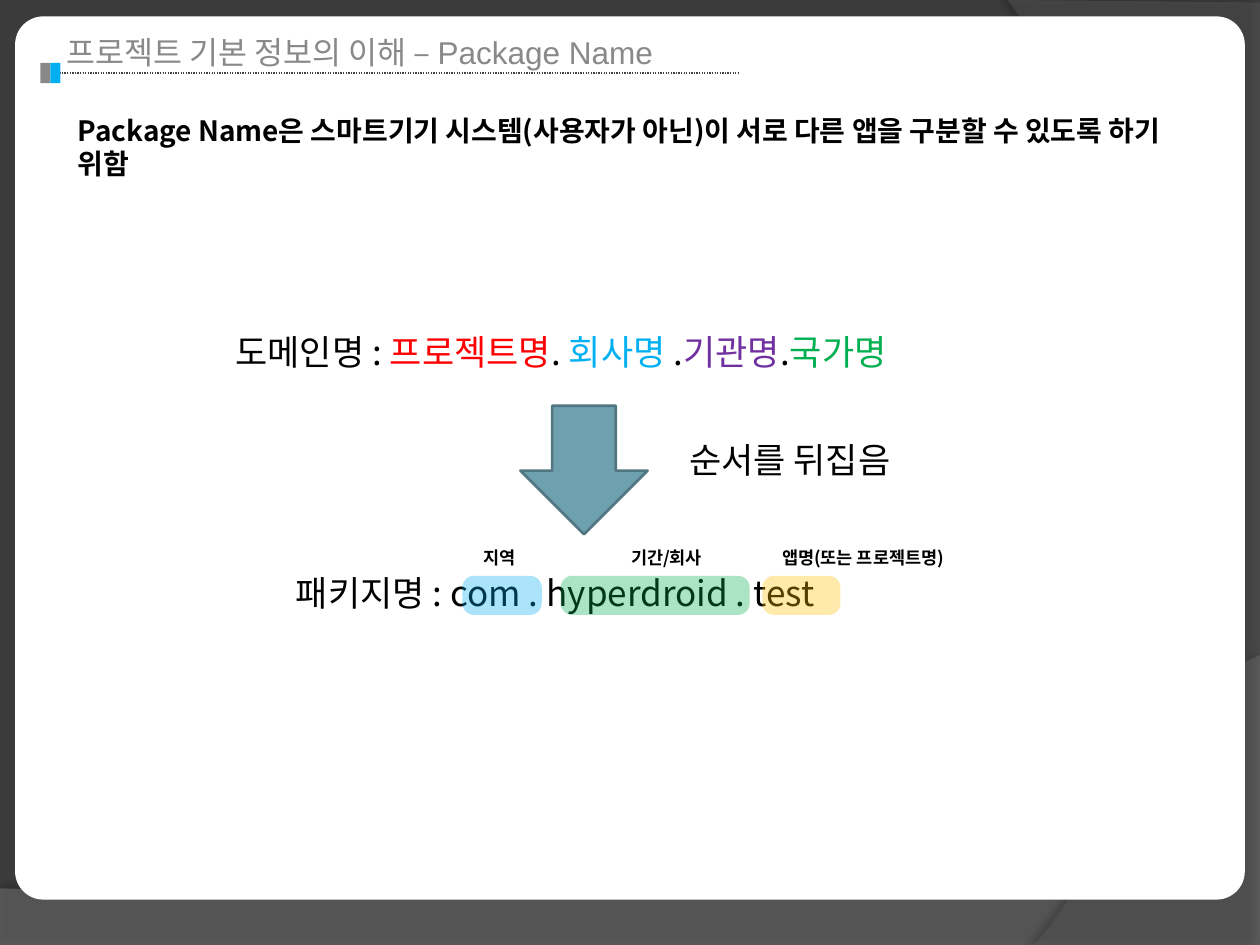
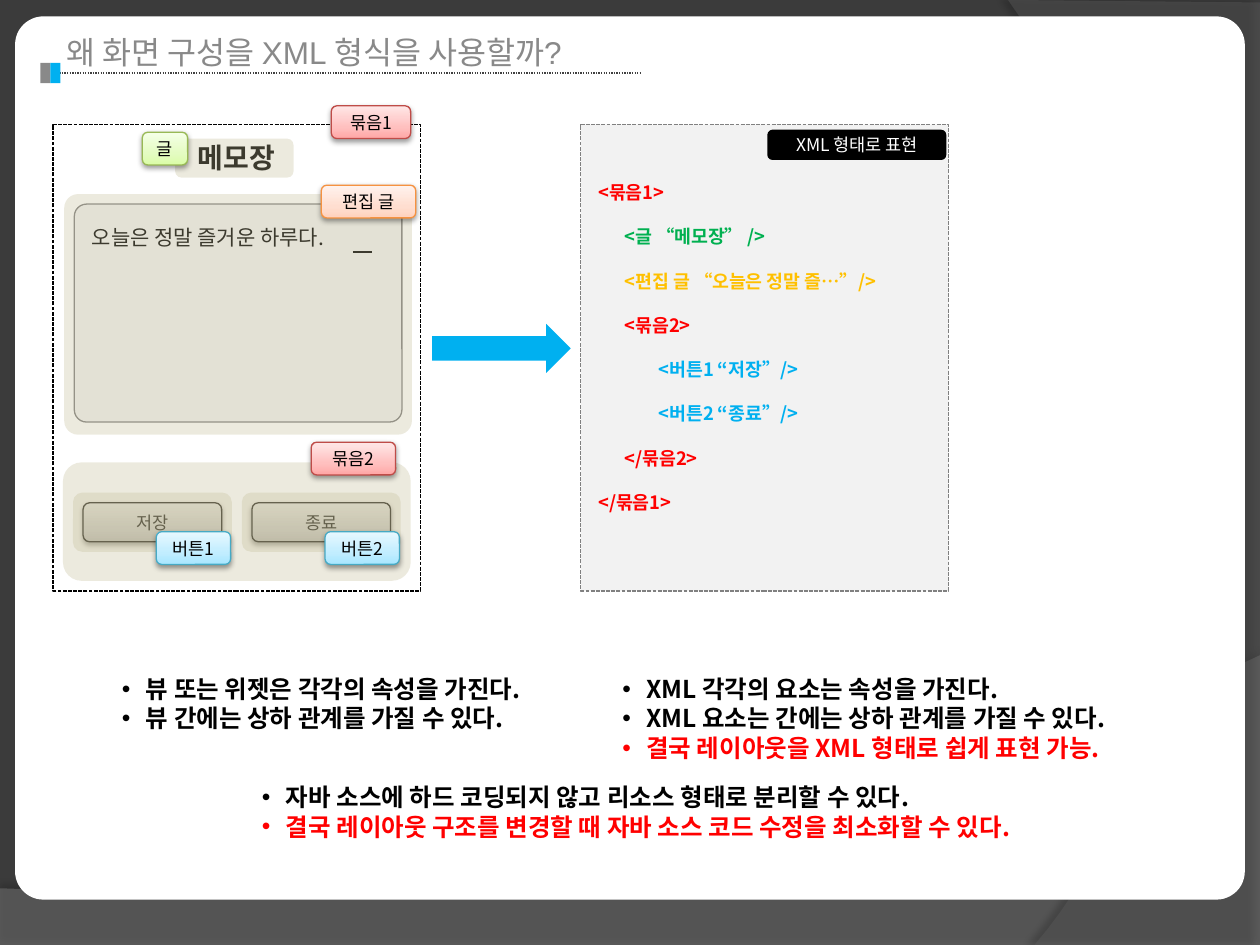
from lxml.etree import SubElement
from pptx import Presentation
from pptx.dml.color import RGBColor
from pptx.enum.dml import MSO_LINE
from pptx.enum.shapes import MSO_CONNECTOR, MSO_SHAPE
from pptx.enum.text import MSO_ANCHOR, MSO_AUTO_SIZE, PP_ALIGN
from pptx.oxml.ns import qn
from pptx.util import Inches, Pt

FONT, TITLE_FONT = "Noto Sans CJK KR", "Arial"
COLORS = {
    "backdrop": "3B3B3B", "hill": "7F7F7F", "wave": "5E5E5E",
    "white": "FFFFFF", "black": "000000", "title": "898989", "rule": "404040",
    "red": "FF0000", "blue": "00B0F0", "purple": "7030A0", "green": "00B050",
    "amber": "FFC000", "pale": "F2F2F2", "gray": "808080", "veil": "C4BD97",
    "arrow": "6EA0B0", "arrow_edge": "517682",
}
# Gradient from bottom to top (0, 35, 100 %), then the outline
TAG_STYLES = {
    "button": ("BDBDBD", "D1D1D1", "EEEEEE", "000000"),
    "text": ("DAFDA7", "E4FCC2", "F5FFE7", "98B955"),
    "edit": ("FFD2BD", "FFDED0", "FFF2ED", "F69240"),
    "bundle": ("FFA6A5", "FFC0BF", "FFE7E7", "BF4C48"),
    "widget": ("A7E6FF", "C1EDFF", "E7F8FF", "46AAC5"),
}

# Slide 1 content
PACKAGE_TITLE = "프로젝트 기본 정보의 이해 – Package Name"
PACKAGE_PURPOSE = ("Package Name은 스마트기기 시스템(사용자가 아닌)이 서로 다른 앱을 "
                   "구분할 수 있도록 하기 위함")
DOMAIN_PARTS = [("도메인명 : ", "black"), ("프로젝트명", "red"), (". ", "black"),
                ("회사명", "blue"), (" .", "black"), ("기관명", "purple"),
                (".", "black"), ("국가명", "green")]
PACKAGE_LINE = "패키지명 : com . hyperdroid . test"
REVERSE_NOTE = "순서를 뒤집음"
# highlight left, width, colour; label, left, width, alignment
PACKAGE_PARTS = [
    (3.67, 0.63, "blue", "지역", 3.74, 0.5, PP_ALIGN.LEFT),
    (4.45, 1.5, "green", "기간/회사", 4.8, 0.98, PP_ALIGN.CENTER),
    (6.05, 0.62, "amber", "앱명(또는 프로젝트명)", 6.11, 1.75, PP_ALIGN.LEFT),
]

# Slide 2 content
XML_TITLE = "왜 화면 구성을 XML 형식을 사용할까?"
MEMO_TITLE, MEMO_TEXT = "메모장", "오늘은 정말 즐거운 하루다."
XML_CAPTION = "XML 형태로 표현"
XML_LINES = [  # depth, text, colour
    (0, "<묶음1>", "red"),
    (1, "<글 “메모장” />", "green"),
    (1, "<편집 글 “오늘은 정말 즐…”/>", "amber"),
    (1, "<묶음2>", "red"),
    (2, "<버튼1 “저장”/>", "blue"),
    (2, "<버튼2 “종료”/>", "blue"),
    (1, "</묶음2>", "red"),
    (0, "</묶음1>", "red"),
]
DEPTH_INDENTS = (0, 0.21, 0.48)
MEMO_BUTTONS = ["저장", "종료"]
BUTTON_STEP = 1.34
VEILED_PARTS = [  # veil place, corner; tag text, style, place
    ((1.39, 1.1, 0.94, 0.31), 0.167, "글", "text", (1.13, 1.05, 0.36, 0.26)),
    ((0.51, 1.54, 2.76, 1.91), 0.058, "편집 글", "edit", (2.55, 1.47, 0.75, 0.26)),
    ((0.5, 3.67, 2.76, 0.94), 0.158, "묶음2", "bundle", (2.47, 3.51, 0.67, 0.26)),
] + [
    ((0.58 + i * BUTTON_STEP, 3.91, 1.26, 0.47), 0.158, f"버튼{i + 1}", "widget",
     (1.24 + i * BUTTON_STEP, 4.22, 0.59, 0.26)) for i in range(2)
]
BULLET_BOXES = [  # place, lines
    ((0.87, 5.3, 3.8, 0.57),
     [("뷰 또는 위젯은 각각의 속성을 가진다.", "black"),
      ("뷰 간에는 상하 관계를 가질 수 있다.", "black")]),
    ((4.84, 5.3, 4.48, 0.81),
     [("XML 각각의 요소는 속성을 가진다.", "black"),
      ("XML 요소는 간에는 상하 관계를 가질 수 있다.", "black"),
      ("결국 레이아웃을 XML 형태로 쉽게 표현 가능.", "red")]),
    ((1.98, 6.16, 6.84, 0.57),
     [("자바 소스에 하드 코딩되지 않고 리소스 형태로 분리할 수 있다.", "black"),
      ("결국 레이아웃 구조를 변경할 때 자바 소스 코드 수정을 최소화할 수 있다.", "red")]),
]


def rgb(name):
    return RGBColor.from_string(COLORS.get(name, name))


def inches(place):
    return [Inches(value) for value in place]


# Text
def write(frame, text, size=10, color="black", bold=False, font=FONT,
          align=PP_ALIGN.LEFT, bullet=False, indents=None, gap=0):
    """text is a string or a list of paragraphs, each a list of (text, colour)."""
    paragraphs = [[(text, color)]] if isinstance(text, str) else text
    frame.word_wrap = True
    for index, spans in enumerate(paragraphs):
        para = frame.add_paragraph() if index else frame.paragraphs[0]
        para.alignment = align
        para.space_after = Pt(gap)
        properties = para._p.get_or_add_pPr()
        if bullet:
            properties.set("marL", str(Inches(0.19)))
            properties.set("indent", str(-Inches(0.19)))
            SubElement(properties, qn("a:buFont")).set("typeface", "Arial")
            SubElement(properties, qn("a:buChar")).set("char", "•")
        elif indents:
            properties.set("marL", str(Inches(indents[index])))
        for words, span_color in spans:
            span = para.add_run()
            span.text = words
            span.font.size = Pt(size)
            span.font.bold = bold
            span.font.name = font
            span.font.color.rgb = rgb(span_color)
            SubElement(span.font._element, qn("a:ea")).set("typeface", FONT)


def add_text(page, place, text, **style):
    box = page.shapes.add_textbox(*inches(place))
    write(box.text_frame, text, **style)
    return box


# Shapes
def paint(shape, fill, alpha=None, line=None, width=0.75, dash=None):
    shape.shadow.inherit = False
    shape.fill.solid()
    shape.fill.fore_color.rgb = rgb(fill)
    if alpha:
        color = shape.element.spPr.find(qn("a:solidFill"))[0]
        SubElement(color, qn("a:alpha")).set("val", str(alpha * 1000))
    if line:
        shape.line.color.rgb = rgb(line)
        shape.line.width = Pt(width)
        if dash:
            shape.line.dash_style = dash
    else:
        shape.line.fill.background()
    return shape


def add_block(page, kind, place, fill, corner=None, **style):
    shape = page.shapes.add_shape(kind, *inches(place))
    if corner:
        shape.adjustments[0] = corner
    return paint(shape, fill, **style)


def add_shadow(shape, alpha, blur, distance, angle):
    effects = shape.element.spPr.find(qn("a:effectLst"))
    shadow = SubElement(effects, qn("a:outerShdw"), blurRad=str(Pt(blur)),
                        dist=str(Pt(distance)), dir=str(angle * 60000),
                        rotWithShape="0")
    color = SubElement(shadow, qn("a:srgbClr"), val=COLORS["black"])
    SubElement(color, qn("a:alpha"), val=str(alpha * 1000))


def add_tag(page, place, text, style):
    *stops, edge = TAG_STYLES[style]
    tag = add_block(page, MSO_SHAPE.ROUNDED_RECTANGLE, place, stops[0], line=edge)
    properties = tag.element.spPr
    solid = properties.find(qn("a:solidFill"))
    gradient = SubElement(properties, qn("a:gradFill"), rotWithShape="1")
    properties.replace(solid, gradient)
    stop_list = SubElement(gradient, qn("a:gsLst"))
    for position, color in zip((0, 35, 100), stops):
        stop = SubElement(stop_list, qn("a:gs"), pos=str(position * 1000))
        SubElement(stop, qn("a:srgbClr"), val=color)
    SubElement(gradient, qn("a:lin"), ang=str(270 * 60000), scaled="0")
    add_shadow(tag, 38, 3.1, 1.6, 90)
    label(tag, text)


def label(shape, text, color="black"):
    frame = shape.text_frame
    frame.margin_left = frame.margin_right = 0
    frame.margin_top = frame.margin_bottom = 0
    frame.vertical_anchor = MSO_ANCHOR.MIDDLE
    write(frame, text, color=color, align=PP_ALIGN.CENTER)


def add_line(page, start, end, color, width, dash=None):
    line = page.shapes.add_connector(MSO_CONNECTOR.STRAIGHT, *inches(start + end))
    line.line.color.rgb = rgb(color)
    line.line.width = Pt(width)
    if dash:
        line.line.dash_style = dash
    SubElement(line.element.spPr, qn("a:effectLst"))


# Shared backdrop and title
def curve(start, first, second, end, steps=32):
    for t in (step / steps for step in range(1, steps + 1)):
        weights = ((1 - t) ** 3, 3 * t * (1 - t) ** 2, 3 * t * t * (1 - t), t ** 3)
        yield tuple(sum(w * p[axis] for w, p in zip(weights, (start, first, second, end)))
                    for axis in (0, 1))


def add_outline(page, points, fill, alpha):
    builder = page.shapes.build_freeform(*inches(points[0]))
    builder.add_line_segments([inches(point) for point in points[1:]], close=True)
    return paint(builder.convert_to_shape(), fill, alpha=alpha)


def build_backdrop(deck, page):
    """Draw the backdrop on a page, then hand it to the slide master."""
    master = deck.slide_master
    master.background.fill.solid()
    master.background.fill.fore_color.rgb = rgb("backdrop")
    hill = add_outline(page, [(0, 7.05), (0, 7.51), (10, 7.51), (10, 5.2),
                              *curve((10, 5.2), (5.59, 7.29), (3.91, 7.19), (0, 7.05))],
                       "hill", 45)
    add_shadow(hill, 35, 4, 3.5, 270)
    wave = add_outline(page, [(10, 0.02), (10, 7.5), (8.21, 7.5),
                              *curve((8.21, 7.5), (9.35, 6.19), (10.18, 3), (8, 0))],
                       "wave", 40)
    add_shadow(wave, 45, 4, 4, 180)
    card = add_block(page, MSO_SHAPE.ROUNDED_RECTANGLE, (0.12, 0.13, 9.76, 7.01),
                     "white", corner=0.032)
    for shape in (hill, wave, card):
        master.shapes.element.append(shape.element)


def add_title(page, text, width, rule_end):
    title = page.shapes.title
    title.left, title.top, title.width, title.height = inches((0.43, 0.21, width, 0.4))
    frame = title.text_frame
    frame.auto_size = MSO_AUTO_SIZE.NONE
    frame.vertical_anchor = MSO_ANCHOR.TOP
    write(frame, text, size=18, color="title", font=TITLE_FONT)
    add_line(page, (0.43, 0.58), (rule_end, 0.58), "rule", 0.75, MSO_LINE.ROUND_DOT)
    for left, color in ((0.32, "title"), (0.4, "blue")):
        add_block(page, MSO_SHAPE.RECTANGLE, (left, 0.5, 0.08, 0.16), color)


# Slide 1
def build_package_page(page):
    add_title(page, PACKAGE_TITLE, 7.24, 5.87)
    add_text(page, (0.52, 0.85, 8.98, 0.64), PACKAGE_PURPOSE, size=16, bold=True)
    add_text(page, (1.77, 2.57, 6.14, 0.44), [DOMAIN_PARTS], size=20)
    add_block(page, MSO_SHAPE.DOWN_ARROW, (4.13, 3.22, 1.01, 1.02), "arrow",
              line="arrow_edge", width=1.5)
    add_text(page, (5.37, 3.43, 2.91, 0.44), REVERSE_NOTE, size=20)
    add_text(page, (2.25, 4.49, 4.57, 0.44), PACKAGE_LINE, size=20)
    for left, width, color, name, name_left, name_width, align in PACKAGE_PARTS:
        add_block(page, MSO_SHAPE.ROUNDED_RECTANGLE, (left, 4.57, width, 0.31),
                  color, corner=0.297, alpha=33)
        add_text(page, (name_left, 4.29, name_width, 0.27), name, bold=True, align=align)


# Slide 2
def build_xml_page(page):
    add_title(page, XML_TITLE, 4.88, 5.08)

    # Memo screen
    add_block(page, MSO_SHAPE.RECTANGLE, (0.42, 0.99, 2.92, 3.7), "white",
              line="black", dash=MSO_LINE.SQUARE_DOT)
    add_text(page, (0.42, 1.07, 2.91, 0.37), MEMO_TITLE, size=16, bold=True,
             align=PP_ALIGN.CENTER)
    add_block(page, MSO_SHAPE.ROUNDED_RECTANGLE, (0.59, 1.62, 2.6, 1.73), "pale",
              corner=0.056, line="gray")
    add_text(page, (0.63, 1.73, 2.44, 0.3), MEMO_TEXT, size=12)
    add_line(page, (2.8, 2), (2.95, 2), "black", 1.5)
    for index, name in enumerate(MEMO_BUTTONS):
        add_tag(page, (0.66 + index * BUTTON_STEP, 3.99, 1.1, 0.31), name, "button")

    # Veils and tags that name the parts
    for veil, corner, name, style, place in VEILED_PARTS:
        add_block(page, MSO_SHAPE.ROUNDED_RECTANGLE, veil, "veil", corner=corner, alpha=31)
        add_tag(page, place, name, style)
    add_tag(page, (2.63, 0.84, 0.63, 0.26), "묶음1", "bundle")

    # XML panel
    add_block(page, MSO_SHAPE.RIGHT_ARROW, (3.43, 2.57, 1.1, 0.39), "blue")
    add_block(page, MSO_SHAPE.RECTANGLE, (4.61, 0.99, 2.92, 3.7), "pale",
              line="gray", dash=MSO_LINE.SQUARE_DOT)
    caption = add_block(page, MSO_SHAPE.ROUNDED_RECTANGLE, (6.09, 1.03, 1.42, 0.24), "black")
    label(caption, XML_CAPTION, "white")
    add_text(page, (4.65, 1.39, 2.83, 2.75), [[(text, color)] for _, text, color in XML_LINES],
             size=10.5, bold=True, gap=12.7,
             indents=[DEPTH_INDENTS[depth] for depth, _, _ in XML_LINES])

    # Conclusions
    for place, lines in BULLET_BOXES:
        add_text(page, place, [[line] for line in lines], size=14, bold=True, bullet=True)


def main():
    deck = Presentation()
    deck.slide_width, deck.slide_height = Inches(10), Inches(7.5)
    title_only = deck.slide_layouts[5]
    pages = [deck.slides.add_slide(title_only) for _ in range(2)]
    build_backdrop(deck, pages[0])
    build_package_page(pages[0])
    build_xml_page(pages[1])
    deck.save("out.pptx")


if __name__ == "__main__":
    main()
